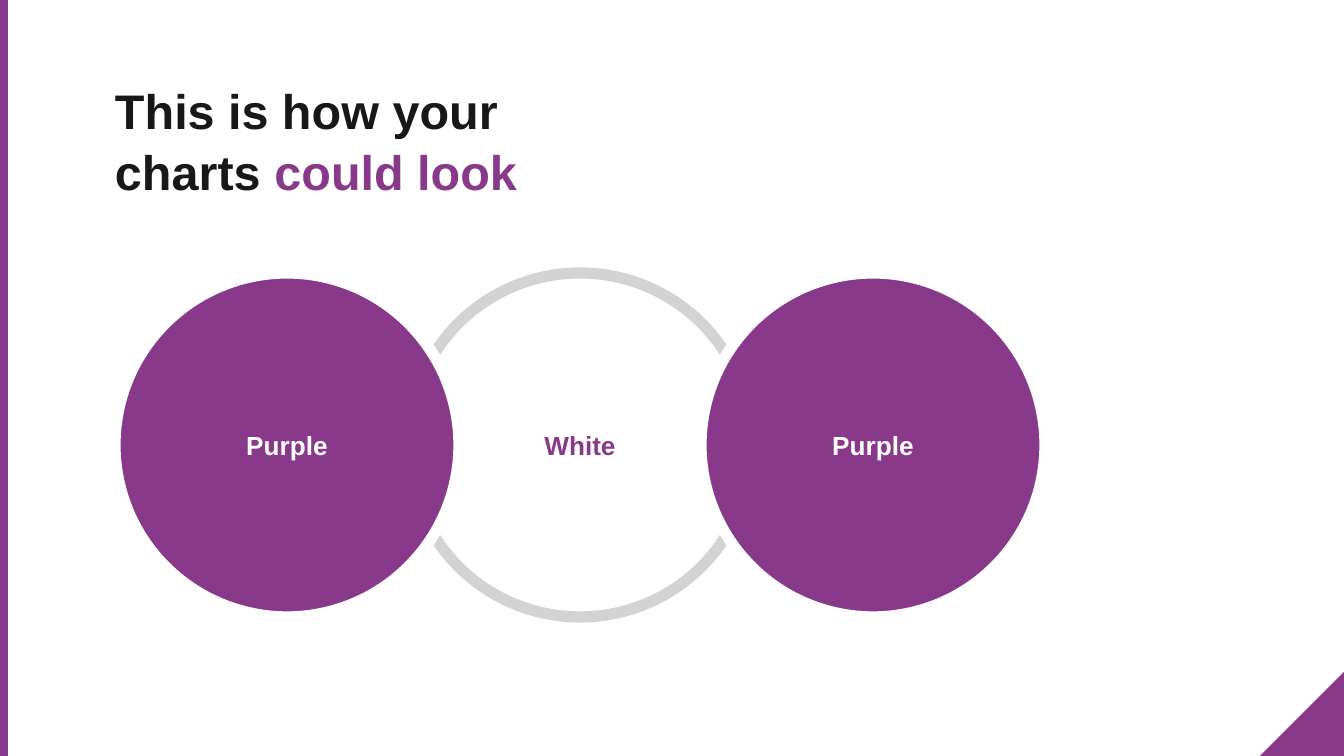
import pptx
import pptx.util
import pptx.dml.color
import pptx.enum.shapes
import pptx.enum.text

SCALE = 914400 / 134.4
COLORS = {"purple": "88398A", "white": "FFFFFF", "gray": "D3D3D3", "ink": "181818"}
SHAPES = pptx.enum.shapes.MSO_SHAPE
ALIGN = pptx.enum.text.PP_ALIGN
ANCHOR = pptx.enum.text.MSO_ANCHOR


def add_shape(kind, box, fill, line=None):
    shape = slide.shapes.add_shape(kind, *[round(length * SCALE) for length in box])
    shape.shadow.inherit = False
    shape.fill.solid()
    shape.fill.fore_color.rgb = pptx.dml.color.RGBColor.from_string(COLORS[fill])
    if line:
        shape.line.color.rgb = pptx.dml.color.RGBColor.from_string(COLORS[line])
        shape.line.width = pptx.util.Pt(6)
    else:
        shape.line.fill.background()
    return shape


def write_text(shape, runs, size, align=ALIGN.LEFT, anchor=ANCHOR.TOP, top=13, spacing=None):
    frame = shape.text_frame
    frame.word_wrap = True
    frame.vertical_anchor = anchor
    frame.margin_left = frame.margin_right = frame.margin_bottom = round(13 * SCALE)
    frame.margin_top = round(top * SCALE)
    paragraph = frame.paragraphs[0]
    paragraph.alignment = align
    paragraph.line_spacing = spacing
    for text, color in runs:
        run = paragraph.add_run()
        run.text = text
        run.font.name = "Arial"
        run.font.size = pptx.util.Pt(size)
        run.font.bold = True
        run.font.color.rgb = pptx.dml.color.RGBColor.from_string(COLORS[color])


presentation = pptx.Presentation()
presentation.slide_width = round(1344 * SCALE)
presentation.slide_height = round(756 * SCALE)
slide = presentation.slides.add_slide(presentation.slide_layouts[6])

corner = add_shape(SHAPES.RIGHT_TRIANGLE, (1260, 672, 84, 84), "purple")
corner._element.spPr.xfrm.set("flipH", "1")
add_shape(SHAPES.RECTANGLE, (0, 0, 8, 756), "purple")

title = slide.shapes.add_textbox(*[round(length * SCALE) for length in (102, 62, 474, 126)])
write_text(
    title,
    [("This is how your charts ", "ink"), ("could look", "purple")],
    size=26,
    top=17,
    spacing=1.04,
)

circles = [
    (1, "White", "white", "gray", "purple"),
    (0, "Purple", "purple", "white", "white"),
    (2, "Purple", "purple", "white", "white"),
]
for column, label, fill, line, text_color in circles:
    circle = add_shape(SHAPES.OVAL, (115 + 293 * column, 273, 344, 344), fill, line)
    write_text(circle, [(label, text_color)], size=14, align=ALIGN.CENTER, anchor=ANCHOR.MIDDLE)

presentation.save("out.pptx")
